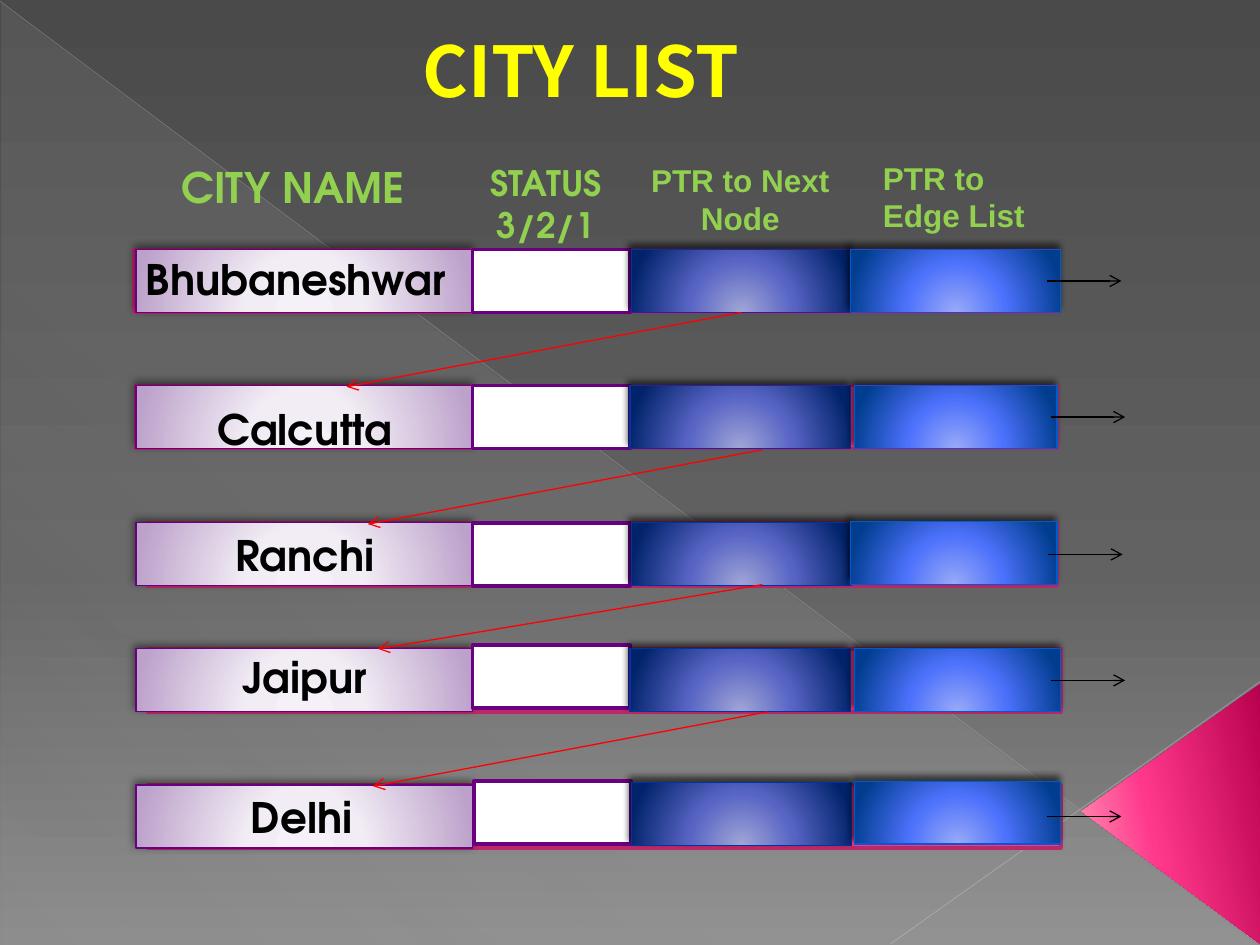
from lxml.etree import SubElement
from pptx import Presentation
from pptx.dml.color import RGBColor
from pptx.enum.shapes import MSO_CONNECTOR, MSO_SHAPE
from pptx.enum.text import MSO_ANCHOR, PP_ALIGN
from pptx.oxml.ns import qn
from pptx.util import Inches, Pt

BLACK = RGBColor(0x00, 0x00, 0x00)
WHITE = RGBColor(0xFF, 0xFF, 0xFF)
RED = RGBColor(0xFF, 0x00, 0x00)
YELLOW = RGBColor(0xFF, 0xFF, 0x00)
GREEN = RGBColor(0x92, 0xD0, 0x50)
PINK = RGBColor(0xFF, 0x38, 0x8C)
DARK_PINK = RGBColor(0xBD, 0x29, 0x68)
PURPLE = RGBColor(0x68, 0x00, 0x7F)
NAVY = RGBColor(0x00, 0x34, 0x9E)
BLUE = RGBColor(0x00, 0x5B, 0xD3)
LIGHT_GRAY = RGBColor(0xBF, 0xBF, 0xBF)
PALE_GRAY = RGBColor(0xC6, 0xC6, 0xC6)

BACKDROP_STOPS = [(0, "4A4A4A"), (60, "626262"), (100, "8C8C8C")]
VEIL_STOPS = [(0, "D2D2D2", 10), (70, "D2D2D2", 8), (100, "D2D2D2", 1)]
CORNER_STOPS = [(0, "B8014E"), (60, "FF388C"), (100, "FF9CB9")]
LILAC_STOPS = [(0, "F6F1F8"), (34, "F2EDF5"), (100, "BCA1CA")]
NAVY_STOPS = [(0, "A1A6D6"), (46, "5864C4"), (100, "00236A")]
BLUE_STOPS = [(0, "9AAAF8"), (46, "4C71FB"), (100, "003D8E")]

LILAC_SHADOW = (50, 5, 2)
BLUE_SHADOW = (60, 4, 3)
DISPLAY_FONT = "TeX Gyre Adventor"
CELL_HEIGHT = 0.5

BARS = [(1.08, 3.06, 7.31), (1.17, 6.23, 7.25), (1.17, 5.15, 7.25),
        (1.17, 4.15, 7.22), (1.06, 1.98, 7.33)]
NAME_TOPS = [1.98, 3.06, 4.15, 5.15, 6.23]
STATUS_CELLS = [(3.75, 1.98), (3.75, 3.06), (3.75, 4.15), (3.75, 5.12), (3.76, 6.2)]
NEXT_CELLS = [(5.01, 1.98), (5, 3.06), (5.01, 4.15), (5, 5.15), (5.01, 6.21)]
EDGE_CELLS = [(6.75, 1.98, 1.67), (6.78, 3.06, 1.61), (6.75, 4.14, 1.64),
              (6.78, 5.15, 1.64), (6.78, 6.2, 1.64)]
CITIES = [("Bhubaneshwar", 1.06, 1.96, 2.59, PP_ALIGN.LEFT),
          ("Calcutta", 1.17, 3.15, 2.5, PP_ALIGN.CENTER),
          ("Ranchi", 1.17, 4.15, 2.5, PP_ALIGN.CENTER),
          ("Jaipur", 1.17, 5.12, 2.5, PP_ALIGN.CENTER),
          ("Delhi", 1.06, 6.23, 2.67, PP_ALIGN.CENTER)]
NEXT_LINKS = [((5.88, 2.48), (2.75, 3.07)), ((6.05, 3.57), (2.92, 4.16)),
              ((6.05, 4.64), (3, 5.15)), ((6.09, 5.65), (2.96, 6.24))]
EDGE_LINKS = [(8.31, 2.23), (8.34, 3.31), (8.32, 4.4), (8.34, 5.4), (8.31, 6.48)]


def add_alpha(color, percent):
    SubElement(color, qn("a:alpha"), val=str(percent * 1000))


def set_gradient(solid_fill, stops, angle=None):
    parent = solid_fill.getparent()
    gradient = SubElement(parent, qn("a:gradFill"), rotWithShape="1")
    stop_list = SubElement(gradient, qn("a:gsLst"))
    for position, color, *alpha in stops:
        stop = SubElement(stop_list, qn("a:gs"), pos=str(position * 1000))
        value = SubElement(stop, qn("a:srgbClr"), val=color)
        if alpha:
            add_alpha(value, alpha[0])
    if angle is None:
        radial = SubElement(gradient, qn("a:path"))
        radial.set("path", "circle")
        SubElement(radial, qn("a:fillToRect"), l="50000", t="155000", r="50000", b="-55000")
    else:
        SubElement(gradient, qn("a:lin"), ang=str(angle * 60000), scaled="0")
    parent.replace(solid_fill, gradient)


def add_shadow(shape, alpha, blur, distance):
    effects = shape.element.spPr.find(qn("a:effectLst"))
    shadow = SubElement(effects, qn("a:outerShdw"), blurRad=str(Pt(blur)),
                        dist=str(Pt(distance)), dir=str(245 * 60000), rotWithShape="0")
    add_alpha(SubElement(shadow, qn("a:srgbClr"), val="000000"), alpha)


def add_block(slide, left, top, width, height=CELL_HEIGHT, fill=WHITE, stops=None,
              angle=None, line=None, line_width=0.75, shadow=None, kind=MSO_SHAPE.RECTANGLE):
    shape = slide.shapes.add_shape(kind, Inches(left), Inches(top), Inches(width), Inches(height))
    shape.shadow.inherit = False
    shape.fill.solid()
    shape.fill.fore_color.rgb = fill
    if stops:
        set_gradient(shape.element.spPr.find(qn("a:solidFill")), stops, angle)
    if line is None:
        shape.line.fill.background()
    else:
        shape.line.color.rgb = line
        shape.line.width = Pt(line_width)
    if shadow:
        add_shadow(shape, *shadow)
    return shape


def add_line(slide, start, end, color, width=0.75, alpha=None, arrow=False):
    connector = slide.shapes.add_connector(
        MSO_CONNECTOR.STRAIGHT, *(Inches(value) for value in (*start, *end)))
    connector.line.color.rgb = color
    connector.line.width = Pt(width)
    properties = connector.element.spPr
    outline = properties.find(qn("a:ln"))
    if alpha:
        add_alpha(outline.find(".//" + qn("a:srgbClr")), alpha)
    if arrow:
        SubElement(outline, qn("a:tailEnd"), type="arrow")
    SubElement(properties, qn("a:effectLst"))


def add_label(slide, text, left, top, width, height, size, color,
              font=DISPLAY_FONT, align=PP_ALIGN.CENTER, wrap=True):
    box = slide.shapes.add_textbox(Inches(left), Inches(top), Inches(width), Inches(height))
    frame = box.text_frame
    frame.word_wrap = wrap
    frame.vertical_anchor = MSO_ANCHOR.TOP
    paragraph = frame.paragraphs[0]
    paragraph.text = text
    paragraph.alignment = align
    paragraph.font.name = font
    paragraph.font.size = Pt(size)
    paragraph.font.bold = True
    paragraph.font.color.rgb = color


def add_backdrop(slide):
    slide.background.fill.solid()
    set_gradient(slide.element.find(".//" + qn("a:solidFill")), BACKDROP_STOPS, 90)
    add_block(slide, 0.01, 0.02, 9.98, 7.48, stops=VEIL_STOPS, angle=133,
              kind=MSO_SHAPE.RIGHT_TRIANGLE)
    add_line(slide, (0, 0.01), (9.99, 7.49), LIGHT_GRAY, 0.39, alpha=35)
    add_line(slide, (10, 5.41), (7.07, 7.49), PALE_GRAY, 0.47, alpha=45)
    corner = add_block(slide, 8.26, 5.75, 2.07, 1.42, stops=CORNER_STOPS, angle=258,
                       kind=MSO_SHAPE.ISOSCELES_TRIANGLE)
    corner.adjustments[0] = 0.51
    corner.rotation = 270


def add_city_nodes(slide):
    for left, top, width in BARS:
        add_block(slide, left, top, width, fill=PINK, line=DARK_PINK, line_width=2)
    for top in NAME_TOPS:
        add_block(slide, 1.08, top, 2.67, stops=LILAC_STOPS, line=PURPLE, shadow=LILAC_SHADOW)
    for left, top in STATUS_CELLS:
        add_block(slide, left, top, 1.25, line=PURPLE, line_width=2)
    for left, top in NEXT_CELLS:
        add_block(slide, left, top, 1.75, stops=NAVY_STOPS, line=NAVY, shadow=BLUE_SHADOW)
    for left, top, width in EDGE_CELLS:
        add_block(slide, left, top, width, stops=BLUE_STOPS, line=BLUE, shadow=BLUE_SHADOW)
    for city, left, top, width, align in CITIES:
        add_label(slide, city, left, top, width, CELL_HEIGHT, 24, BLACK, align=align)


def add_links(slide):
    for start, end in NEXT_LINKS:
        add_line(slide, start, end, RED, arrow=True)
    for left, top in EDGE_LINKS:
        add_line(slide, (left, top), (left + 0.59, top), BLACK, arrow=True)


def add_headings(slide):
    add_label(slide, "CITY NAME", 1.06, 1.23, 2.53, 0.5, 24, GREEN)
    add_label(slide, "STATUS 3/2/1", 3.67, 1.23, 1.33, 0.77, 20, GREEN)
    add_label(slide, "PTR to Edge List", 6.91, 1.21, 1.33, 0.71, 18, GREEN, "Arial", PP_ALIGN.LEFT)
    add_label(slide, "PTR to Next Node", 5, 1.23, 1.75, 0.71, 18, GREEN, "Arial")
    add_label(slide, "CITY LIST", 3.19, 0.17, 2.84, 0.77, 40, YELLOW, "Noto Sans CJK SC", wrap=False)


def main():
    presentation = Presentation()
    presentation.slide_width = Inches(10)
    presentation.slide_height = Inches(7.5)
    slide = presentation.slides.add_slide(presentation.slide_layouts[6])
    add_backdrop(slide)
    add_city_nodes(slide)
    add_links(slide)
    add_headings(slide)
    presentation.save("out.pptx")


if __name__ == "__main__":
    main()
